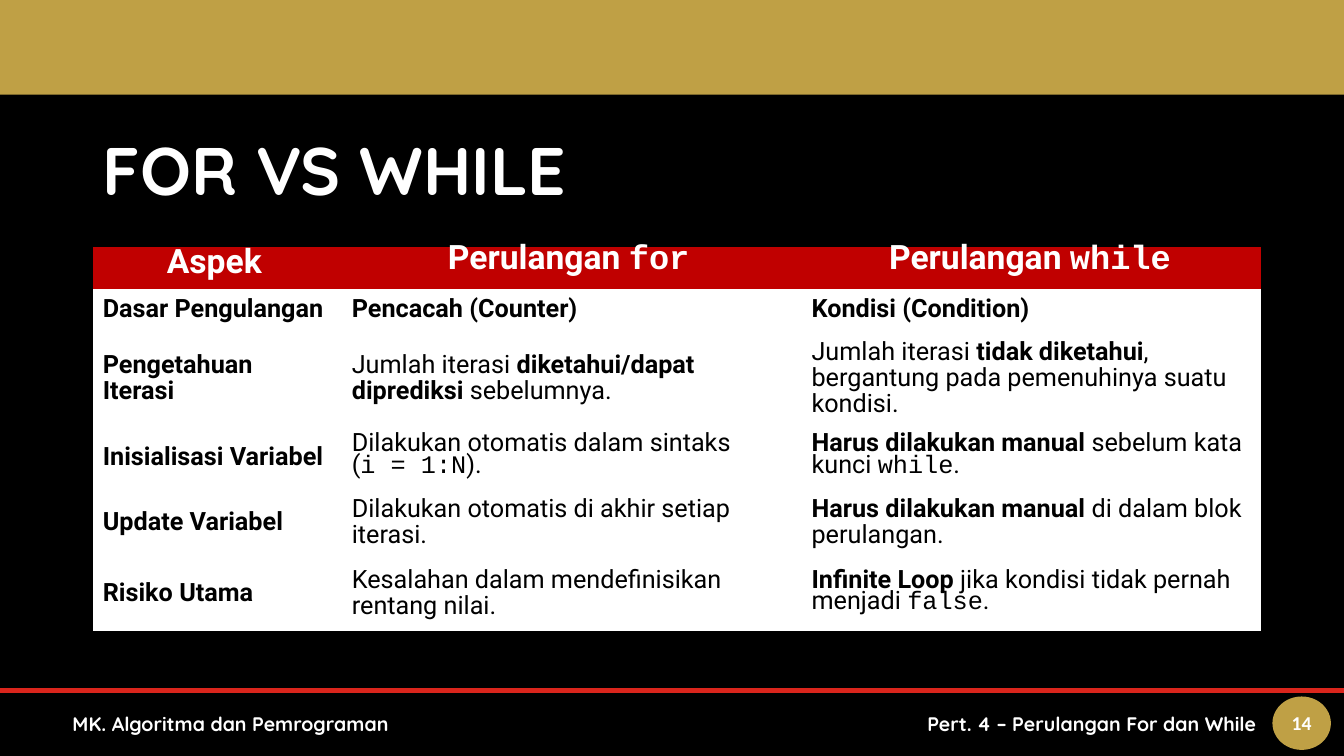
from lxml.etree import SubElement
from pptx import Presentation
from pptx.dml.color import RGBColor
from pptx.enum.shapes import MSO_CONNECTOR, MSO_SHAPE
from pptx.enum.text import MSO_ANCHOR, MSO_AUTO_SIZE, PP_ALIGN
from pptx.oxml.ns import qn
from pptx.util import Inches, Pt

GOLD, RED, LINE_RED = "BFA045", "C00000", "DA251C"
WHITE, BLACK = "FFFFFF", "000000"
HEAD_FONT, BODY_FONT, CODE_FONT, NUMBER_FONT = "Quicksand", "Roboto", "Courier New", "Calibri"

COLUMNS = [2.44, 4.56, 4.59]
ROWS = [0.42, 0.42, 0.94, 0.62, 0.68, 0.72]

# *bold*, `code`; a line break starts a new paragraph
COMPARISON = [
    ["*Aspek*", "*Perulangan `for`*", "*Perulangan `while`*"],
    ["*Dasar Pengulangan*", "*Pencacah (Counter)*", "*Kondisi (Condition)*"],
    ["*Pengetahuan Iterasi*",
     "Jumlah iterasi *diketahui/dapat diprediksi* sebelumnya.",
     "Jumlah iterasi *tidak diketahui*, bergantung pada pemenuhinya suatu kondisi."],
    ["*Inisialisasi Variabel*",
     "Dilakukan otomatis dalam sintaks\n(`i = 1:N`).",
     "*Harus dilakukan manual* sebelum kata kunci `while`."],
    ["*Update Variabel*",
     "Dilakukan otomatis di akhir setiap iterasi.",
     "*Harus dilakukan manual* di dalam blok perulangan."],
    ["*Risiko Utama*",
     "Kesalahan dalam mendefinisikan rentang nilai.",
     "*Infinite Loop* jika kondisi tidak pernah menjadi `false`."],
]


def color(value):
    return RGBColor.from_string(value)


def parse_runs(line):
    """Yield (text, bold, code) for each marked piece of a line."""
    for i, part in enumerate(line.split("*")):
        for j, text in enumerate(part.split("`")):
            if text:
                yield text, i % 2 == 1, j % 2 == 1


class SlideBuilder:
    def __init__(self, prs):
        self.s = prs.slides.add_slide(prs.slide_layouts[5])
        self.s.background.fill.solid()
        self.s.background.fill.fore_color.rgb = color(BLACK)

    def style_run(self, r, size, font, hex_color, bold=True):
        r.font.size, r.font.name, r.font.bold = Pt(size), font, bold
        r.font.color.rgb = color(hex_color)

    def fill_text(self, sp, text, size, font=HEAD_FONT, align=PP_ALIGN.LEFT, inset=0.1):
        tf = sp.text_frame
        tf.text = text
        tf.word_wrap, tf.auto_size = True, MSO_AUTO_SIZE.NONE
        tf.vertical_anchor = MSO_ANCHOR.MIDDLE
        tf.margin_left = tf.margin_right = tf.margin_top = tf.margin_bottom = Inches(inset)
        p = tf.paragraphs[0]
        p.alignment = align
        self.style_run(p.runs[0], size, font, WHITE)

    def title(self, text, x, y, w, h):
        sp = self.s.shapes.title
        sp.left, sp.top, sp.width, sp.height = map(Inches, (x, y, w, h))
        self.fill_text(sp, text, 48)

    def text(self, text, x, y, w, h, align=PP_ALIGN.LEFT):
        sp = self.s.shapes.add_textbox(*map(Inches, (x, y, w, h)))
        self.fill_text(sp, text, 14, align=align)

    def shape(self, kind, x, y, w, h, fill):
        sp = self.s.shapes.add_shape(kind, *map(Inches, (x, y, w, h)))
        sp.shadow.inherit = False
        sp.fill.solid()
        sp.fill.fore_color.rgb = color(fill)
        sp.line.fill.background()
        return sp

    def line(self, x1, y1, x2, y2, hex_color, width):
        cxn = self.s.shapes.add_connector(MSO_CONNECTOR.STRAIGHT, *map(Inches, (x1, y1, x2, y2)))
        cxn.line.color.rgb = color(hex_color)
        cxn.line.width = Pt(width)
        SubElement(cxn._element.spPr, qn("a:effectLst"))

    def cell(self, cell, text, header, first):
        tcPr = cell._tc.get_or_add_tcPr()
        for side in ("a:lnL", "a:lnR", "a:lnT", "a:lnB"):
            SubElement(SubElement(tcPr, qn(side), w="0"), qn("a:noFill"))
        cell.fill.solid()
        cell.fill.fore_color.rgb = color(RED if header else WHITE)
        cell.vertical_anchor = MSO_ANCHOR.MIDDLE
        cell.margin_left = Inches(0.1 if first else 0.13)
        cell.margin_right = Inches(0.13)
        cell.margin_top = cell.margin_bottom = Inches(0.08)
        tf = cell.text_frame
        for i, line in enumerate(text.split("\n")):
            p = tf.add_paragraph() if i else tf.paragraphs[0]
            p.alignment = PP_ALIGN.CENTER if header else PP_ALIGN.LEFT
            p.line_spacing = Pt(16.5 if "`" in text else 18.8)
            for piece, bold, code in parse_runs(line):
                r = p.add_run()
                r.text = piece
                self.style_run(r, 24 if header else 18, CODE_FONT if code else BODY_FONT,
                               WHITE if header else BLACK, bold)

    def table(self, data, x, y, widths, heights):
        frame = self.s.shapes.add_table(len(heights), len(widths), Inches(x), Inches(y),
                                        Inches(sum(widths)), Inches(sum(heights)))
        table = frame.table
        table.horz_banding = False
        for column, w in zip(table.columns, widths):
            column.width = Inches(w)
        for row, h in zip(table.rows, heights):
            row.height = Inches(h)
        for i, texts in enumerate(data):
            for j, text in enumerate(texts):
                self.cell(table.cell(i, j), text, header=i == 0, first=j == 0)


def main():
    prs = Presentation()
    prs.slide_width, prs.slide_height = Inches(13.33), Inches(7.5)
    slide = SlideBuilder(prs)

    # Top band and title
    slide.shape(MSO_SHAPE.RECTANGLE, 0, 0, 13.33, 0.94, GOLD)
    slide.title("FOR VS WHILE", 0.92, 1.2, 9.33, 0.94)

    # Comparison table
    slide.table(COMPARISON, 0.92, 2.45, COLUMNS, ROWS)

    # Footer
    slide.line(0, 6.85, 13.33, 6.85, LINE_RED, 3)
    slide.text("MK. Algoritma dan Pemrograman", 0.62, 6.91, 5.29, 0.53)
    slide.text("Pert. 4 – Perulangan For dan While", 6.51, 6.91, 6.05, 0.53, PP_ALIGN.RIGHT)
    badge = slide.shape(MSO_SHAPE.OVAL, 12.62, 6.91, 0.58, 0.53, GOLD)
    slide.fill_text(badge, "14", 14, NUMBER_FONT, PP_ALIGN.CENTER, inset=0)

    prs.save("out.pptx")


if __name__ == "__main__":
    main()
